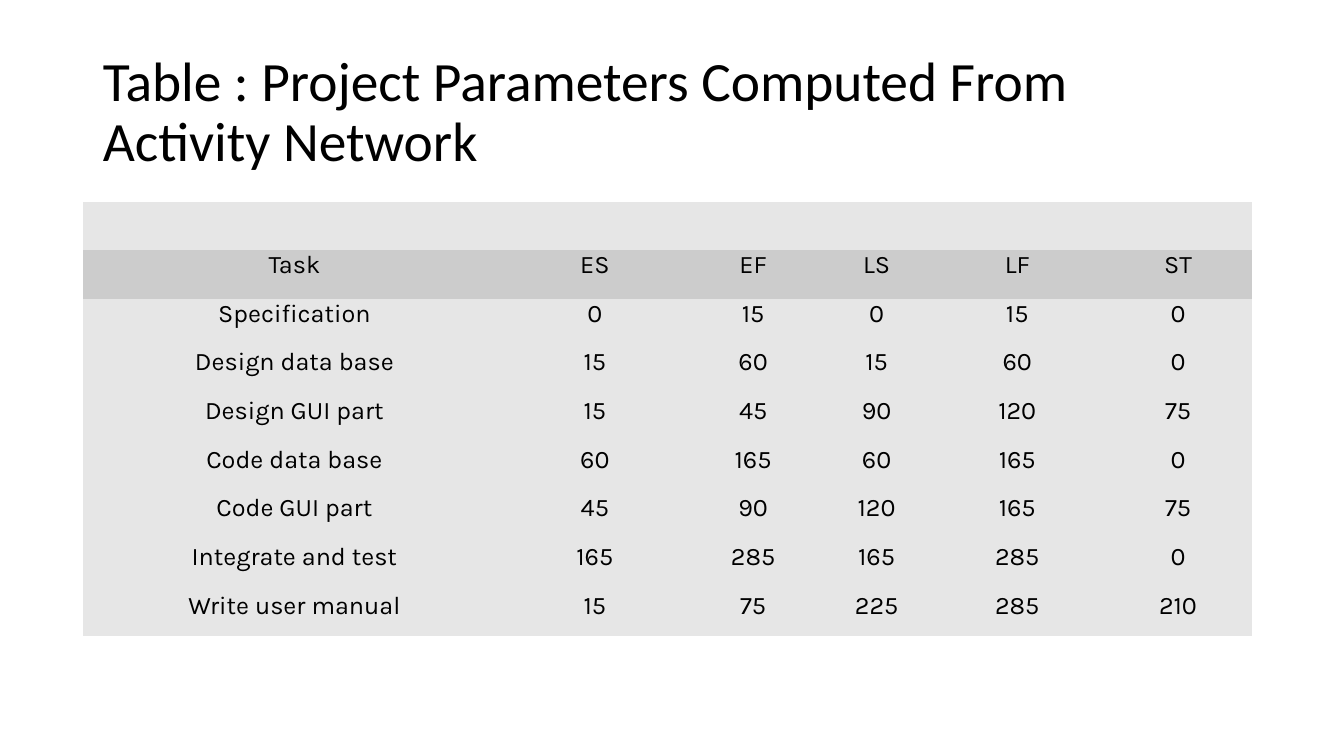
from pptx import Presentation
from pptx.dml.color import RGBColor
from pptx.enum import text
from pptx.oxml.ns import qn
from pptx.util import Inches, Pt

BLACK = RGBColor(0x00, 0x00, 0x00)
LIGHT_GREY = RGBColor(0xE6, 0xE6, 0xE6)
MID_GREY = RGBColor(0xCC, 0xCC, 0xCC)
NO_STYLE_NO_GRID = "{2D5ABB26-0587-4C30-8999-92F81FD0307C}"

TITLE = "Table : Project Parameters Computed From Activity Network"
COLUMN_WIDTHS = [4.2, 1.76, 1.38, 1.07, 1.72, 1.47]
ROW_HEIGHTS = [0.483] * 8 + [0.45]
PARAMETERS = [
    ("Task", "ES", "EF", "LS", "LF", "ST"),
    ("Specification", 0, 15, 0, 15, 0),
    ("Design data base", 15, 60, 15, 60, 0),
    ("Design GUI part", 15, 45, 90, 120, 75),
    ("Code data base", 60, 165, 60, 165, 0),
    ("Code GUI part", 45, 90, 120, 165, 75),
    ("Integrate and test", 165, 285, 165, 285, 0),
    ("Write user manual", 15, 75, 225, 285, 210),
]


def set_all(target, values):
    for name, value in values.items():
        setattr(target, name, value)


def write(paragraph, words, font_name, size, alignment):
    paragraph.text = words
    paragraph.alignment = alignment
    set_all(paragraph.font, {"name": font_name, "size": Pt(size)})
    paragraph.font.color.rgb = BLACK


presentation = Presentation()
set_all(presentation, {"slide_width": Inches(13.33), "slide_height": Inches(7.5)})
slide = presentation.slides.add_slide(presentation.slide_layouts[5])

title = slide.shapes.title
set_all(title, {"left": Inches(0.92), "top": Inches(0.4),
                "width": Inches(11.5), "height": Inches(1.45)})
set_all(title.text_frame, {"word_wrap": True,
                           "auto_size": text.MSO_AUTO_SIZE.NONE,
                           "vertical_anchor": text.MSO_ANCHOR.MIDDLE})
heading = title.text_frame.paragraphs[0]
write(heading, TITLE, "Calibri", 39.6, text.PP_ALIGN.LEFT)
heading.line_spacing = 0.9

frame = slide.shapes.add_table(
    len(ROW_HEIGHTS), len(COLUMN_WIDTHS),
    Inches(0.82), Inches(2), Inches(sum(COLUMN_WIDTHS)), Inches(sum(ROW_HEIGHTS)))
table = frame.table
set_all(table, {"first_row": False, "horz_banding": False})
for style in frame.element.iter(qn("a:tableStyleId")):
    style.text = NO_STYLE_NO_GRID
for column, width in zip(table.columns, COLUMN_WIDTHS):
    column.width = Inches(width)
for row, height in zip(table.rows, ROW_HEIGHTS):
    row.height = Inches(height)

top_band = table.cell(0, 0)
top_band.merge(table.cell(0, len(COLUMN_WIDTHS) - 1))
top_band.fill.solid()
top_band.fill.fore_color.rgb = LIGHT_GREY

for row_index, values in enumerate(PARAMETERS, start=1):
    for column_index, value in enumerate(values):
        cell = table.cell(row_index, column_index)
        set_all(cell, {"margin_left": 0, "margin_right": 0,
                       "margin_top": 0, "margin_bottom": 0})
        cell.fill.solid()
        cell.fill.fore_color.rgb = MID_GREY if row_index == 1 else LIGHT_GREY
        write(cell.text_frame.paragraphs[0], str(value), "Karla", 18,
              text.PP_ALIGN.CENTER)

presentation.save("out.pptx")
